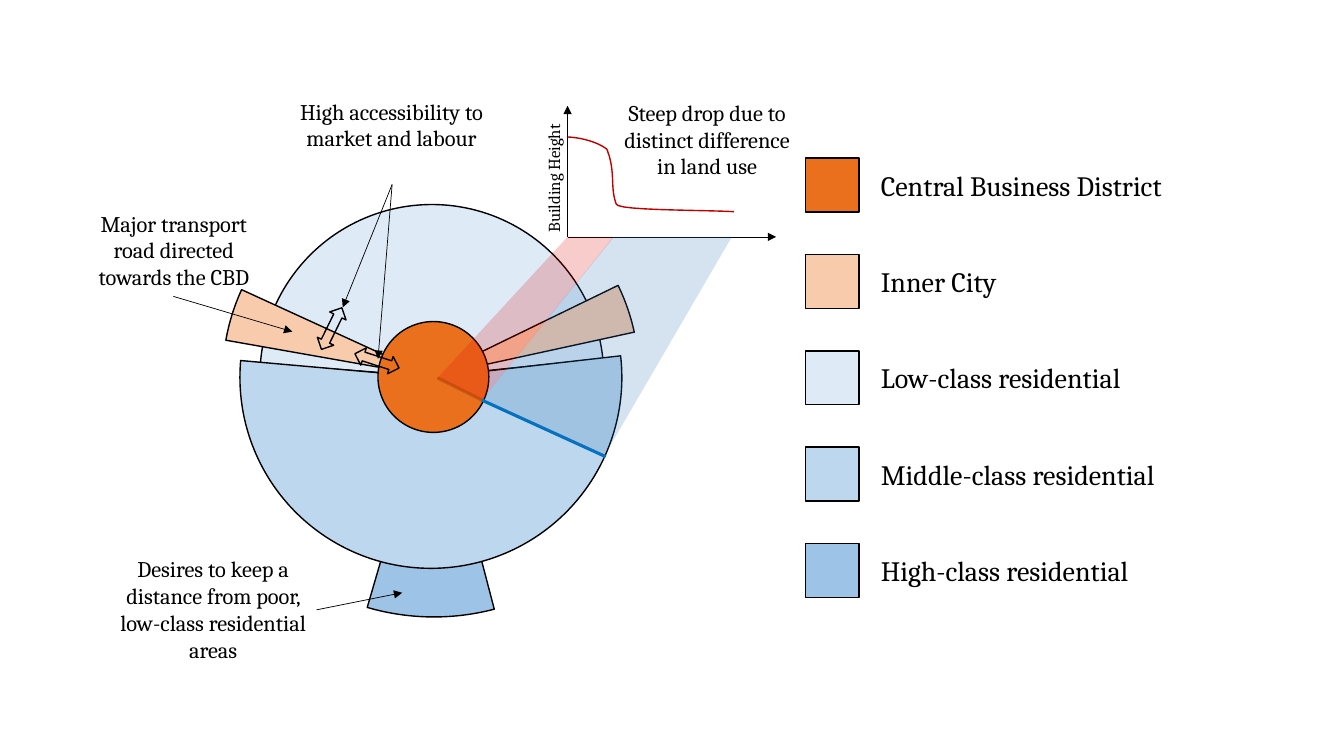
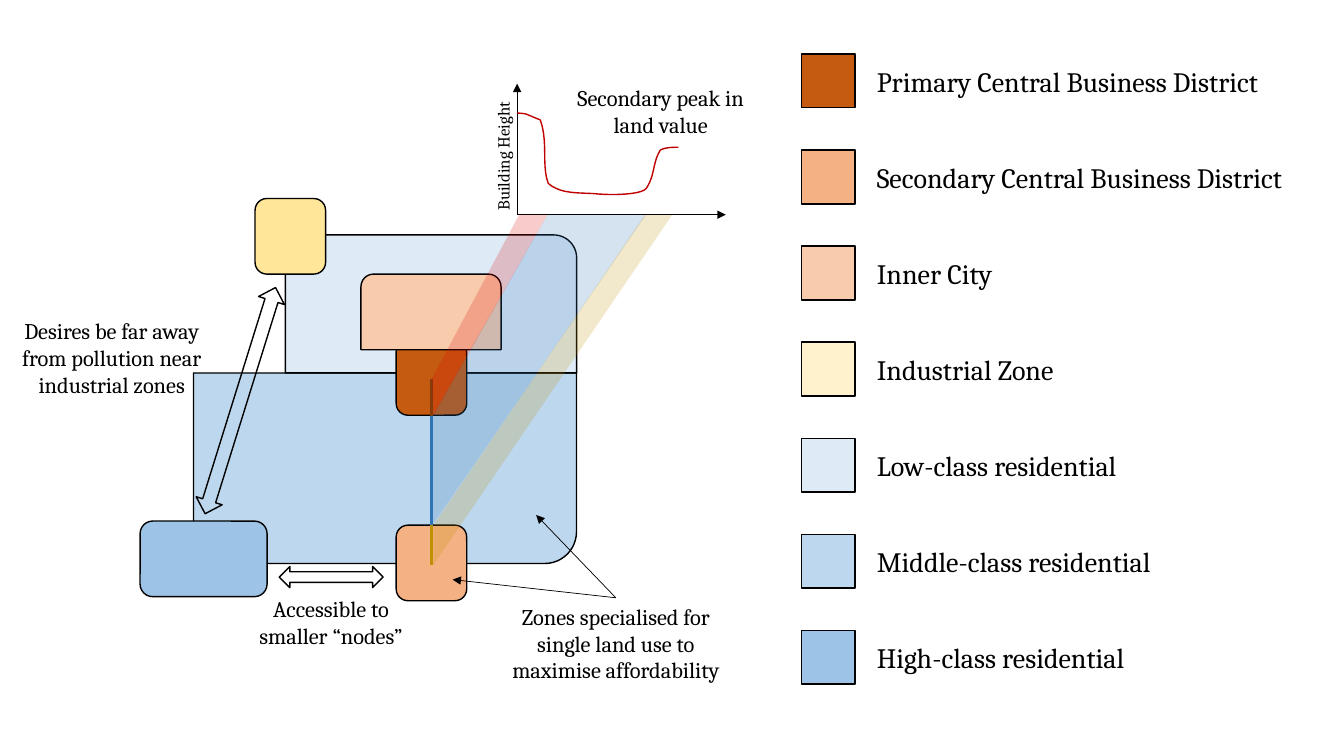
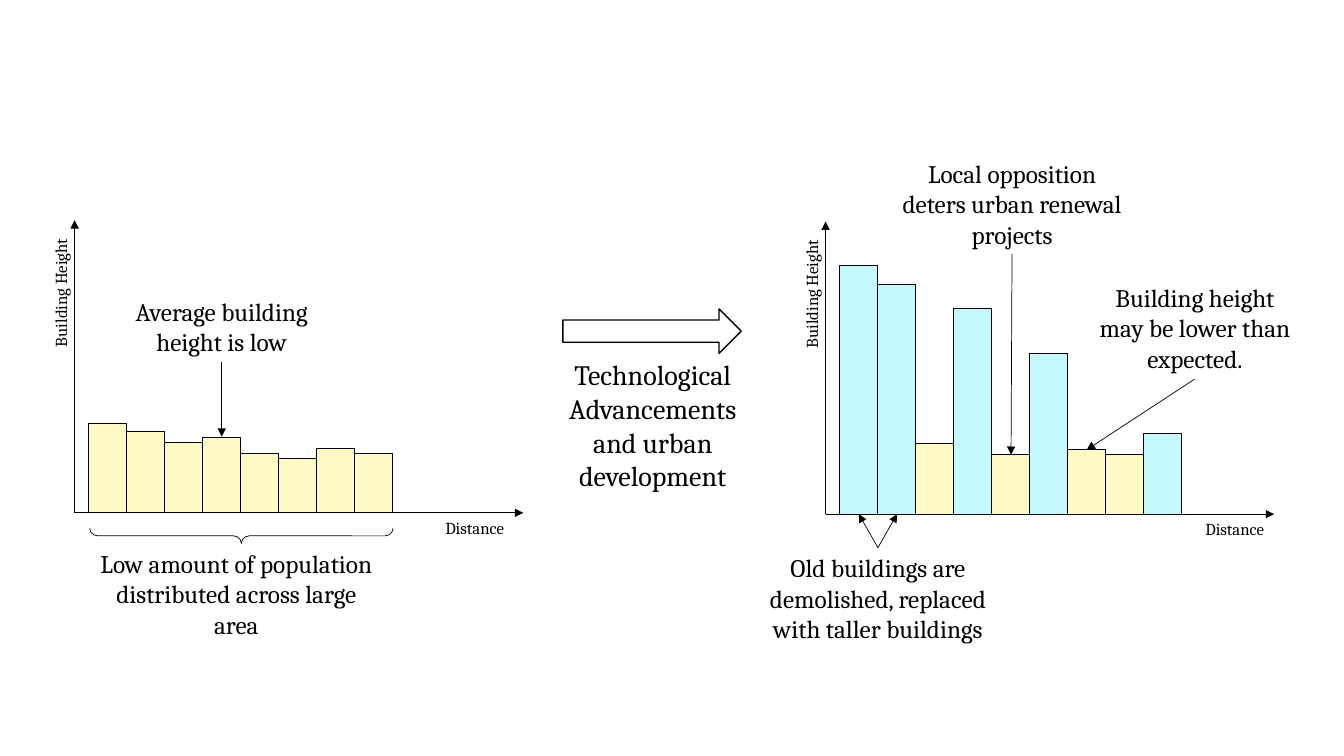
from lxml import etree
from pptx import Presentation
from pptx import util as u
from pptx.dml.color import RGBColor
from pptx.enum import shapes, text
from pptx.oxml.ns import qn

FONT = "Cambria"
COLOURS = {
    "ink": "000000",
    "cbd": "EB701D",
    "primary cbd": "C55A11",
    "secondary cbd": "F4B183",
    "inner city": "F8CBAD",
    "industry": "FFE699",
    "industry key": "FFF2CC",
    "low": "DEEBF7",
    "middle": "BDD7EE",
    "high": "9DC3E6",
    "curve": "C00000",
    "red sheet": "E20000",
    "blue sheet": "2E75B6",
    "gold sheet": "BF9000",
    "cut dark": "843C0B",
    "cut blue": "0070C0",
    "old building": "FFF9C5",
    "new building": "C5F8FF",
}
KIND = shapes.MSO_SHAPE
GRAPH_HEIGHT = 93.6
SKYLINE_HEIGHT = 209


def rgb(name):
    return RGBColor.from_string(COLOURS[name])


def bezier(start, first, second, end, steps=10):
    """Points along a cubic curve, without its start."""
    for step in range(1, steps + 1):
        t = step / steps
        weights = ((1 - t) ** 3, 3 * t * (1 - t) ** 2, 3 * t * t * (1 - t), t ** 3)
        corners = (start, first, second, end)
        yield tuple(sum(w * c[axis] for w, c in zip(weights, corners)) for axis in (0, 1))


class Region:
    """A box on a slide; every position is in points from its top left corner."""

    def __init__(self, slide, left, top):
        self.slide, self.left, self.top = slide, left, top

    def at(self, x, y):
        return u.Pt(self.left + x), u.Pt(self.top + y)

    def shape(self, kind, box, fill=None, weight=1, rotation=0, adjust=()):
        x, y, width, height = box
        shape = self.slide.shapes.add_shape(
            kind, *self.at(x, y), u.Pt(width), u.Pt(height))
        shape.shadow.inherit = False
        shape.rotation = rotation
        for index, value in enumerate(adjust):
            shape.adjustments[index] = value
        if fill:
            shape.fill.solid()
            shape.fill.fore_color.rgb = rgb(fill)
        else:
            shape.fill.background()
        shape.line.color.rgb = rgb("ink")
        shape.line.width = u.Pt(weight)

    def label(self, wording, box, size=16, rotation=0, align=text.PP_ALIGN.CENTER):
        x, y, width, height = box
        shape = self.slide.shapes.add_textbox(
            *self.at(x, y), u.Pt(width), u.Pt(height))
        shape.rotation = rotation
        frame = shape.text_frame
        frame.word_wrap = True
        frame.auto_size = text.MSO_AUTO_SIZE.SHAPE_TO_FIT_TEXT
        paragraph = frame.paragraphs[0]
        paragraph.alignment = align
        run = paragraph.add_run()
        run.text = wording
        run.font.name = FONT
        run.font.size = u.Pt(size)
        run.font.color.rgb = rgb("ink")

    def line(self, start, end, colour="ink", weight=0.5, arrow=False):
        connector = self.slide.shapes.add_connector(
            shapes.MSO_CONNECTOR.STRAIGHT, *self.at(*start), *self.at(*end))
        connector.line.color.rgb = rgb(colour)
        connector.line.width = u.Pt(weight)
        properties = connector._element.spPr
        if arrow:
            outline = properties.find(qn("a:ln"))
            etree.SubElement(outline, qn("a:tailEnd"), type="triangle")
        etree.SubElement(properties, qn("a:effectLst"))

    def arrows(self, start, *ends):
        for end in ends:
            self.line(start, end, arrow=True)

    def outline(self, points, close):
        builder = self.slide.shapes.build_freeform(*self.at(*points[0]))
        builder.add_line_segments([self.at(*point) for point in points[1:]], close=close)
        shape = builder.convert_to_shape()
        shape.shadow.inherit = False
        return shape

    def sheet(self, colour, *points):
        """See-through band joining the cut in the city to the graph."""
        shape = self.outline(points, close=True)
        shape.fill.solid()
        shape.fill.fore_color.rgb = rgb(colour)
        tint = shape._element.spPr.find(qn("a:solidFill"))[0]
        etree.SubElement(tint, qn("a:alpha"), val="20000")
        shape.line.fill.background()

    def curve(self, start, *segments):
        points = [start]
        for segment in segments:
            points.extend(bezier(points[-1], *segment))
        shape = self.outline(points, close=False)
        shape.fill.background()
        shape.line.color.rgb = rgb("curve")
        shape.line.width = u.Pt(1)


def legend(slide, left, top, pitch, entries):
    region = Region(slide, left, top)
    for row, (colour, wording) in enumerate(entries):
        y = row * pitch
        region.shape(KIND.RECTANGLE, (0, y, 38.4, 38.4), colour)
        region.label(wording, (46.8, y + 3.6, 336, 31.5), 20, align=text.PP_ALIGN.LEFT)


def axes(region, width, height):
    region.arrows((0, height), (width, height), (0, 0))
    region.label("Building Height", (-62.5, 41, 105, 21.8), 12, rotation=270)


def height_graph(slide, left, top, curve, remark, remark_box):
    region = Region(slide, left, top)
    axes(region, 149, GRAPH_HEIGHT)
    region.curve(*curve)
    region.label(remark, remark_box)


def sector_city(slide, left, top):
    region = Region(slide, left, top)
    sectors = [
        ("low", 260.5, 204.9, 122.8, 184.27, 354.05),
        ("high", 262, 206.4, 170.3, 75.34, 106.24),
        ("middle", 259.8, 205.6, 136.4, 353.52, 185.05),
        ("inner city", 259.8, 204.9, 148.7, 190.01, 204.63),
        ("inner city", 259.8, 204.9, 148.7, 334.07, 347.72),
    ]
    for colour, x, y, radius, start, end in sectors:
        # Angles are stored in 60000ths of a degree, adjustments in 100000ths.
        region.shape(KIND.PIE, (x - radius, y - radius, 2 * radius, 2 * radius),
                     colour, adjust=(start * 0.6, end * 0.6))
    region.shape(KIND.OVAL, (222, 165.7, 79.2, 79.2), "cbd")
    for x, y, rotation in ((182.4, 154.2, 26.1), (214.8, 177.2, 287.9)):
        region.shape(KIND.UP_DOWN_ARROW, (x, y, 13, 33.1),
                     rotation=rotation, adjust=(0.27, 0.5))

    region.label("Major transport road directed towards the CBD", (2.4, 82.2, 147.6, 65.5))
    region.arrows((75.8, 147.7), (160.8, 172.9))
    region.label("High accessibility to market and labour", (157.9, 2.2, 147.6, 65.5))
    region.arrows((232.1, 67.8), (196.8, 155.6), (222, 192.3))
    region.label("Desires to keep a distance from poor, low-class residential areas",
                 (30.5, 329.1, 147.6, 85))
    region.arrows((178.1, 371.6), (239.3, 359.4))

    centre, cbd_edge, city_edge = (264.5, 206), (296.2, 221.8), (384.7, 262.2)
    axis = 105.2
    region.line(centre, cbd_edge, "primary cbd", 2.25)
    region.sheet("red sheet", (357.4, axis), centre, cbd_edge, (390.5, axis))
    region.line(cbd_edge, city_edge, "cut blue", 2.25)
    region.sheet("blue sheet", (390, axis), cbd_edge, (383.3, 262.2), (474.7, axis))


def nuclei_city(slide, left, top):
    region = Region(slide, left, top)
    districts = [
        (KIND.ROUND_2_SAME_RECTANGLE, "middle", (132.2, 206.4, 273.6, 136.1), 180),
        (KIND.ROUND_2_SAME_RECTANGLE, "low", (197.8, 107.8, 208.1, 98.6), 0),
        (KIND.ROUNDED_RECTANGLE, "primary cbd", (277, 182.6, 50.4, 54), 0),
        (KIND.ROUND_2_SAME_RECTANGLE, "inner city", (251.8, 135.8, 100.1, 54), 0),
        (KIND.ROUNDED_RECTANGLE, "industry", (176.2, 81.8, 50.4, 54), 0),
        (KIND.ROUNDED_RECTANGLE, "high", (94.1, 312.2, 90.7, 54), 0),
        (KIND.ROUNDED_RECTANGLE, "secondary cbd", (277, 315.1, 50.4, 54), 0),
        (KIND.UP_DOWN_ARROW, None, (156, 141.6, 19.4, 169.2), 17.3),
        (KIND.UP_DOWN_ARROW, None, (223, 315.1, 15.1, 74.2), 90),
    ]
    for kind, colour, box, rotation in districts:
        region.shape(kind, box, colour, rotation=rotation)

    region.label("Desires be far away from pollution near industrial zones",
                 (0, 163.2, 147.6, 85))
    region.label("Accessible to smaller “nodes”", (156.7, 361.9, 147.6, 46.1))

    axis, cut = 93.4, 302.2
    primary_top, primary_bottom, secondary_top, secondary_bottom = 211, 236.9, 315.1, 343.5
    region.sheet("blue sheet", (385, axis), (302.9, primary_bottom),
                 (302.9, secondary_top), (455.5, axis))
    for colour, start, end in (("cut dark", primary_top, primary_bottom),
                               ("blue sheet", primary_bottom, secondary_top),
                               ("gold sheet", secondary_top, secondary_bottom)):
        region.line((cut, start), (cut, end), colour, 2.25)
    region.sheet("gold sheet", (454.8, axis), (303.6, secondary_top),
                 (303.6, secondary_bottom), (474.2, axis))
    region.sheet("red sheet", (364.8, axis), (cut, primary_top),
                 (303.6, primary_bottom), (385, axis))

    region.label("Zones specialised for single land use to maximise affordability",
                 (341.8, 367, 184.3, 65.5))
    region.arrows((433.9, 367), (377, 307.9), (317.3, 354))


def skyline(slide, left, top, buildings, distance_left):
    """Axes with a row of (height, colour) buildings; returns the region."""
    region = Region(slide, left, top)
    axes(region, 320.4, SKYLINE_HEIGHT)
    width = 27.1
    for index, (height, colour) in enumerate(buildings):
        region.shape(KIND.RECTANGLE,
                     (10.2 + index * width, SKYLINE_HEIGHT - height, width, height),
                     colour, weight=0.5)
    region.label("Distance", (distance_left, SKYLINE_HEIGHT, 105, 21.8), 12)
    return region


def skyline_before(slide, left, top):
    heights = (63.6, 58.3, 50.4, 54, 42.5, 38.9, 46.1, 42.5)
    region = skyline(slide, left, top, [(h, "old building") for h in heights], 233.3)
    region.label("Average building height is low", (12.9, 50.9, 184.3, 51.1), 18)
    region.arrows((105.1, 101.3), (105.1, 154.6))
    region.shape(KIND.RIGHT_BRACE, (113.7, 117.1, 10.8, 216.7),
                 weight=0.5, rotation=90, adjust=(0.526, 0.5))
    region.label("Low amount of population distributed across large area",
                 (9.3, 230.9, 212.4, 72.7), 18)


def skyline_after(slide, left, top):
    old, new = "old building", "new building"
    buildings = [(178, new), (164.2, new), (50.4, old), (146.9, new), (42.5, old),
                 (114.8, new), (46.1, old), (42.5, old), (57.6, new)]
    region = skyline(slide, left, top, buildings, 239.8)
    region.label("Old buildings are demolished, replaced with taller buildings",
                 (-56.9, 233, 188.6, 72.7), 18)
    region.arrows((37.4, 233), (23.7, SKYLINE_HEIGHT), (51.1, SKYLINE_HEIGHT))
    region.label("Local opposition deters urban renewal projects",
                 (43.9, -48.6, 178.6, 72.7), 18)
    region.arrows((133.2, 23.4), (132.5, 166.7))
    region.label("Building height may be lower than expected.",
                 (187.9, 40, 151.9, 72.7), 18)
    region.arrows((263.5, 112.7), (186.5, 163.1))


def transition(slide, left, top):
    region = Region(slide, left, top)
    region.shape(KIND.RIGHT_ARROW, (11.1, 0.7, 127.4, 31.7))
    region.label("Technological Advancements and urban development",
                 (0, 32, 150.5, 104.4), 20)


def sector_slide(slide):
    residential = [("low", "Low-class residential"),
                   ("middle", "Middle-class residential"),
                   ("high", "High-class residential")]
    legend(slide, 575.3, 113, 68.8,
           [("cbd", "Central Business District"), ("inner city", "Inner City")] + residential)
    curve = [(0, 22.3),
             ((3.6, 22.3), (18.7, 23.8), (28.1, 31)),
             ((34.6, 47.5), (30.2, 57.6), (34.6, 69.8)),
             ((33.1, 74.9), (90, 74.2), (118.8, 75.6))]
    height_graph(slide, 405.4, 75.6, curve,
                 "Steep drop due to distinct difference in land use",
                 (25.9, -8.6, 147.6, 65.5))
    sector_city(slide, 48, 64)


def nuclei_slide(slide):
    legend(slide, 572.4, 38.6, 68.6, [
        ("primary cbd", "Primary Central Business District"),
        ("secondary cbd", "Secondary Central Business District"),
        ("inner city", "Inner City"),
        ("industry key", "Industrial Zone"),
        ("low", "Low-class residential"),
        ("middle", "Middle-class residential"),
        ("high", "High-class residential"),
    ])
    curve = [(0, 20.9),
             ((7.9, 21.6), (4.3, 20.9), (16.6, 25.9)),
             ((22.3, 41.8), (17.3, 59), (22.3, 71.3)),
             ((31, 78.5), (41.8, 77.8), (54.7, 78.5)),
             ((68.4, 79.9), (88.6, 79.2), (92.2, 74.9)),
             ((98.6, 65.5), (96.5, 56.9), (102.2, 47.5)),
             ((105.8, 45.4), (110.9, 45.4), (115.2, 45.4))]
    height_graph(slide, 369.4, 59.8, curve, "Secondary peak in land value",
                 (33.8, -2.9, 137.5, 46.1))
    nuclei_city(slide, 6, 60)


def renewal_slide(slide):
    skyline_before(slide, 53.3, 157.3)
    transition(slide, 391, 220)
    skyline_after(slide, 589.7, 158.2)


def main():
    presentation = Presentation()
    presentation.slide_width, presentation.slide_height = u.Pt(960), u.Pt(540)
    blank = presentation.slide_layouts[6]
    for build in (sector_slide, nuclei_slide, renewal_slide):
        build(presentation.slides.add_slide(blank))
    presentation.save("out.pptx")


if __name__ == "__main__":
    main()
